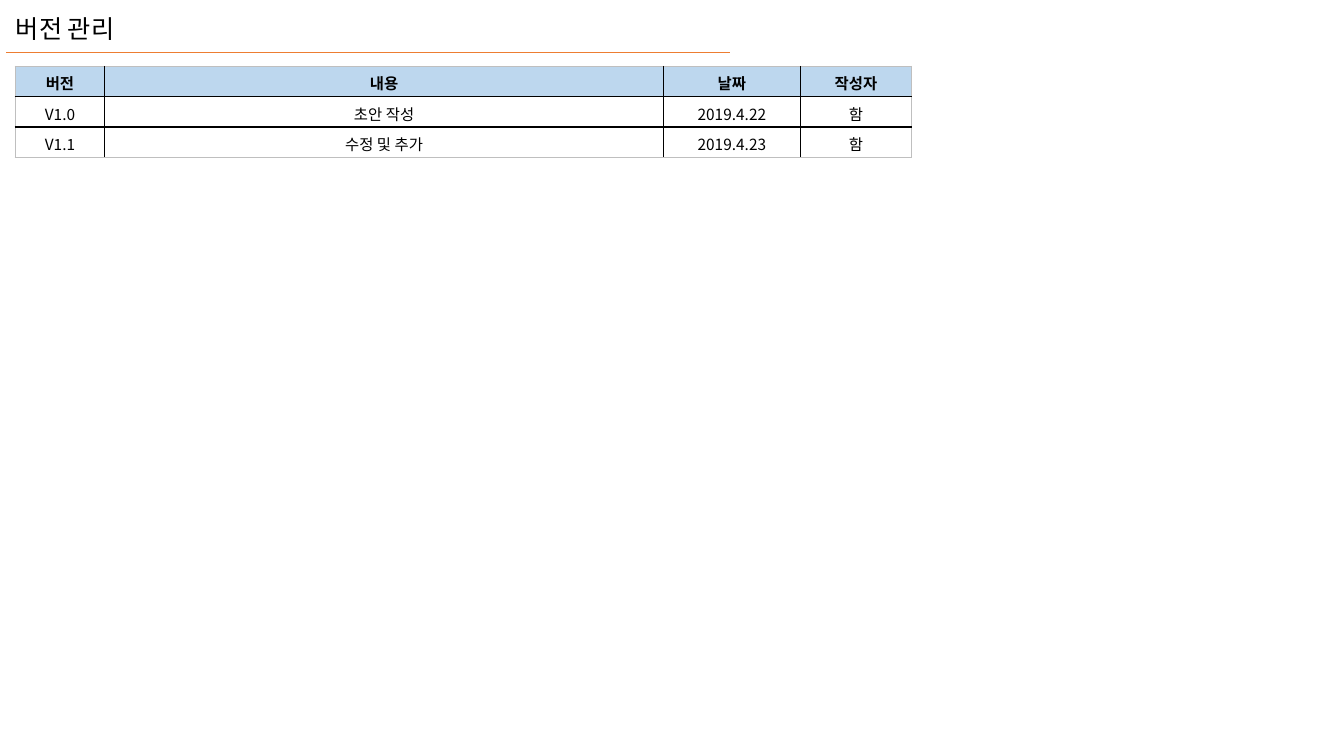
from lxml.etree import SubElement
from pptx import Presentation
from pptx.dml.color import RGBColor
from pptx.enum.shapes import MSO_CONNECTOR as Connector
from pptx.enum.text import MSO_ANCHOR as Anchor, PP_ALIGN as Align
from pptx.oxml.ns import qn
from pptx.util import Inches, Pt

FONT = "Noto Sans CJK KR"
BLACK, ORANGE, HEADER_BLUE, EDGE_GRAY = "000000", "ED7D31", "BDD7EE", "BFBFBF"
COLUMNS = (0.89, 5.54, 1.36, 1.1)
ROW = 0.3
VERSIONS = (
    ("버전", "내용", "날짜", "작성자"),
    ("V1.0", "초안 작성", "2019.4.22", "함"),
    ("V1.1", "수정 및 추가", "2019.4.23", "함"),
)


def color(value):
    return RGBColor.from_string(value)


def write(paragraph, text, size, bold=False):
    run = paragraph.add_run()
    run.text = text
    run.font.size = Pt(size)
    run.font.bold = bold
    run.font.name = FONT
    run.font.color.rgb = color(BLACK)
    SubElement(run.font._element, qn("a:ea"), typeface=FONT)


def add_heading(slide, left, top, width, height):
    heading = slide.shapes.add_textbox(Inches(left), Inches(top), Inches(width), Inches(height))
    frame = heading.text_frame
    frame.word_wrap = True
    frame.vertical_anchor = Anchor.MIDDLE
    frame.margin_top = frame.margin_bottom = 0
    write(frame.paragraphs[0], "버전 관리", 18)

    rule_y = Inches(top + height + 0.04)
    rule = slide.shapes.add_connector(
        Connector.STRAIGHT, Inches(left), rule_y, Inches(left + width), rule_y)
    rule.line.color.rgb = color(ORANGE)
    rule.line.width = Pt(1)
    SubElement(rule._element.spPr, qn("a:effectLst"))


def set_borders(cell, outer_sides):
    properties = cell._tc.get_or_add_tcPr()
    for position, side in enumerate(("lnL", "lnR", "lnT", "lnB")):
        border = SubElement(properties, qn(f"a:{side}"), w=str(Pt(1)))
        properties.insert(position, border)
        fill = SubElement(border, qn("a:solidFill"))
        shade = EDGE_GRAY if side in outer_sides else BLACK
        SubElement(fill, qn("a:srgbClr"), val=shade)


def add_history(slide, left, top):
    rows, columns = len(VERSIONS), len(COLUMNS)
    history = slide.shapes.add_table(
        rows, columns, Inches(left), Inches(top),
        Inches(sum(COLUMNS)), Inches(ROW * rows)).table
    history.first_row = history.horz_banding = False
    for column, width in zip(history.columns, COLUMNS):
        column.width = Inches(width)
    for r, version in enumerate(VERSIONS):
        history.rows[r].height = Inches(ROW)
        for c, text in enumerate(version):
            cell = history.cell(r, c)
            cell.vertical_anchor = Anchor.MIDDLE
            cell.margin_top, cell.margin_bottom = Inches(0.05), Inches(0.02)
            if r == 0:
                cell.fill.solid()
                cell.fill.fore_color.rgb = color(HEADER_BLUE)
            else:
                cell.fill.background()
            edges = {"lnL": c == 0, "lnR": c == columns - 1,
                     "lnT": r == 0, "lnB": r == rows - 1}
            set_borders(cell, [side for side, outer in edges.items() if outer])
            paragraph = cell.text_frame.paragraphs[0]
            paragraph.alignment = Align.CENTER
            write(paragraph, text, 11, bold=r == 0)


def main():
    deck = Presentation()
    deck.slide_width, deck.slide_height = Inches(13.33), Inches(7.5)
    slide = deck.slides.add_slide(deck.slide_layouts[6])
    add_heading(slide, 0.06, 0.08, 7.18, 0.4)
    add_history(slide, 0.15, 0.66)
    deck.save("out.pptx")


if __name__ == "__main__":
    main()
